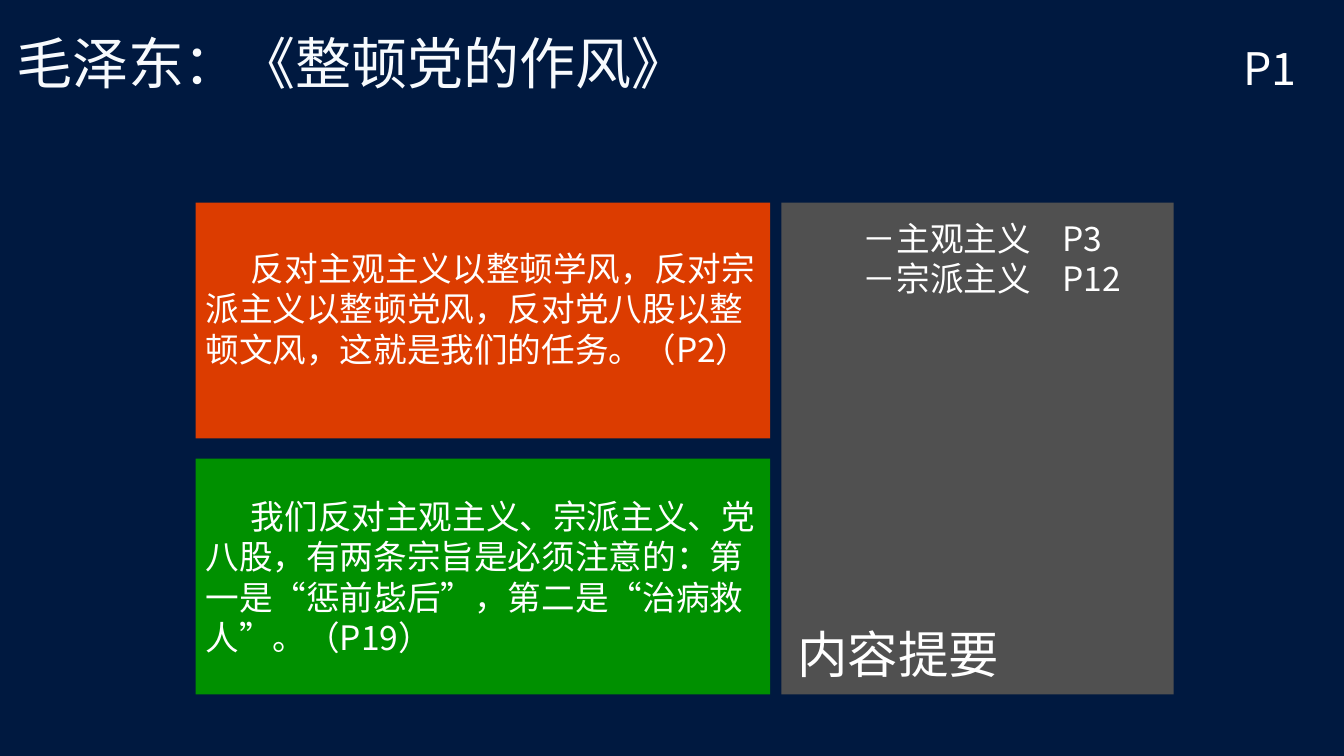
from lxml.etree import SubElement
from pptx import Presentation
from pptx.dml.color import RGBColor
from pptx.enum.shapes import MSO_SHAPE as Shape
from pptx.enum.text import MSO_ANCHOR as Anchor, MSO_AUTO_SIZE as AutoSize, PP_ALIGN as Align
from pptx.oxml.ns import qn
from pptx.util import Inches, Pt

FONT = "Noto Sans CJK SC"
NAVY, ORANGE, GREEN, GRAY = "001940", "DC3C00", "009000", "505050"
WHITE, PALE = "FFFFFF", "F7FAFD"


def color(value):
    return RGBColor.from_string(value)


def write(shape, *lines, size=24, align=Align.LEFT, anchor=Anchor.TOP,
          indent=0, tab=None, spacing=None):
    """Fill a shape with one formatted paragraph per line."""
    frame = shape.text_frame
    frame.word_wrap = True
    frame.auto_size = AutoSize.NONE
    frame.vertical_anchor = anchor
    for number, line in enumerate(lines):
        paragraph = frame.add_paragraph() if number else frame.paragraphs[0]
        paragraph.alignment = align
        if spacing:
            paragraph.line_spacing = spacing
        properties = paragraph._p.get_or_add_pPr()
        if indent:
            properties.set("indent", str(Inches(indent)))
        if tab:
            tabs = SubElement(properties, qn("a:tabLst"))
            SubElement(tabs, qn("a:tab"), pos=str(Inches(tab)), algn="l")
        run = paragraph.add_run()
        run.text = line
        run.font.size = Pt(size)
        run.font.name = FONT
        run.font.fill.solid()
        run.font.fill.fore_color.rgb = color(WHITE)
        SubElement(run._r.get_or_add_rPr(), qn("a:ea"), typeface=FONT)


def add_text(slide, left, top, width, height, *lines, **style):
    box = slide.shapes.add_textbox(*map(Inches, (left, top, width, height)))
    write(box, *lines, **style)


def add_tile(slide, left, top, width, height, fill):
    tile = slide.shapes.add_shape(
        Shape.RECTANGLE, *map(Inches, (left, top, width, height)))
    tile.shadow.inherit = False
    tile.fill.solid()
    tile.fill.fore_color.rgb = color(fill)
    tile.line.fill.background()
    return tile


def add_header(slide, left, top, width, height):
    # Title with a soft vertical gradient
    title = slide.shapes.title
    title.left, title.top = Inches(left), Inches(top)
    title.width, title.height = Inches(width), Inches(height)
    write(title, "毛泽东：《整顿党的作风》", size=40, anchor=Anchor.MIDDLE, spacing=0.9)
    fill = title.text_frame.paragraphs[0].runs[0].font.fill
    fill.gradient()
    fill.gradient_angle = 270
    for stop, position, shade in zip(fill.gradient_stops, (0.01, 1), (PALE, WHITE)):
        stop.position = position
        stop.color.rgb = color(shade)
    # Page reference
    add_text(slide, left + 9.04, top + 0.07, 3.86, 0.64, "P1", size=32, align=Align.RIGHT)


def add_quotes(slide, left, top, width, height, gap):
    tile_height = (height - gap) / 2
    # Task quote
    add_tile(slide, left, top, width, tile_height, ORANGE)
    add_text(slide, left, top + 0.4, width + 0.06, 1.31,
             "反对主观主义以整顿学风，反对宗派主义以整顿党风，反对党八股以整顿文风，这就是我们的任务。（P2）",
             indent=0.45)
    # Purpose quote
    purpose = add_tile(slide, left, top + tile_height + gap, width, tile_height, GREEN)
    write(purpose,
          "我们反对主观主义、宗派主义、党八股，有两条宗旨是必须注意的：第一是“惩前毖后”，第二是“治病救人”。（P19）",
          anchor=Anchor.MIDDLE, indent=0.45)


def add_summary(slide, left, top, width, height):
    add_tile(slide, left, top, width, height, GRAY)
    # Topics with their pages
    add_text(slide, left + 0.71, top + 0.1, 2.89, 0.91,
             "－主观主义\tP3", "－宗派主义\tP12", tab=1.98)
    # Caption
    add_text(slide, left + 0.06, top + height - 0.76, width - 0.06, 0.71, "内容提要", size=36)


def main():
    presentation = Presentation()
    presentation.slide_width, presentation.slide_height = Inches(13.33), Inches(7.5)
    slide = presentation.slides.add_slide(presentation.slide_layouts.get_by_name("Title Only"))
    slide.background.fill.solid()
    slide.background.fill.fore_color.rgb = color(NAVY)
    add_header(slide, 0.06, 0.29, 10.55, 0.74)
    add_quotes(slide, 1.94, 2.01, 5.7, 4.88, gap=0.2)
    add_summary(slide, 7.75, 2.01, 3.89, 4.88)
    presentation.save("out.pptx")


if __name__ == "__main__":
    main()
